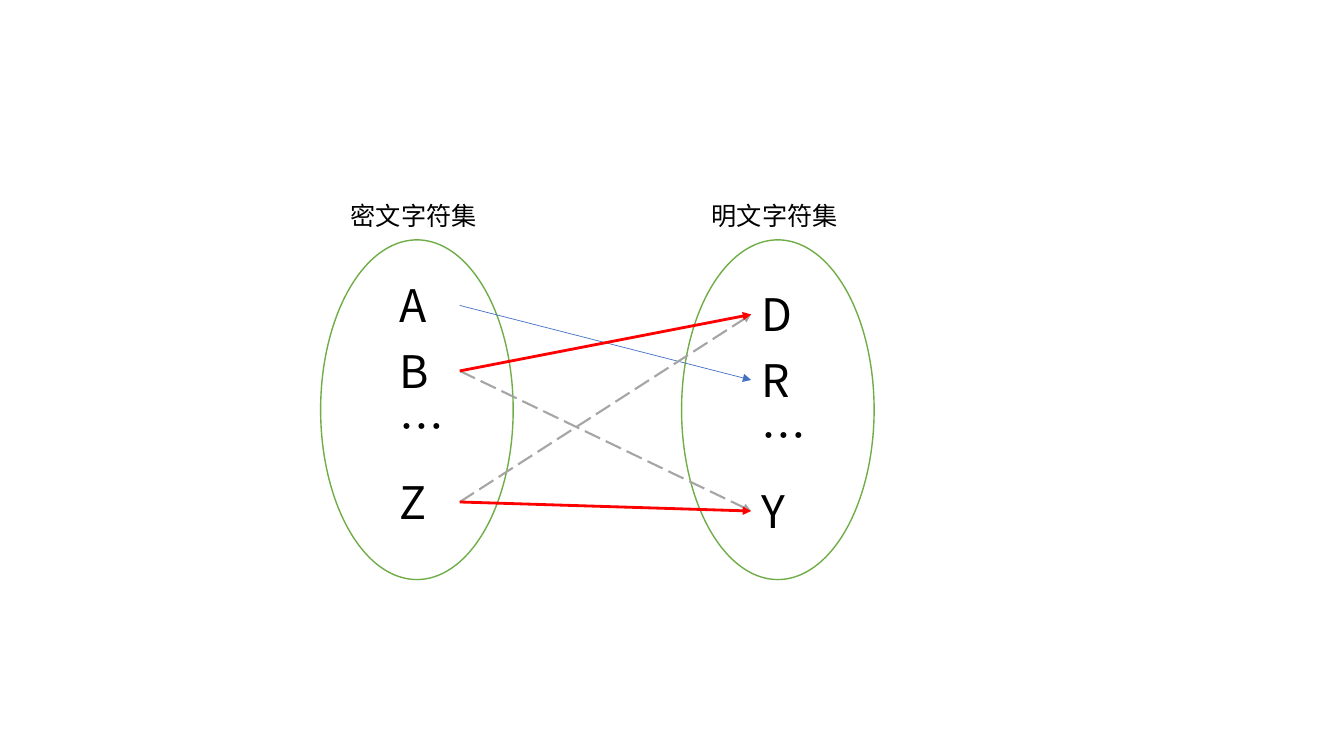
"""Build a slide mapping ciphertext characters to plaintext characters."""
from lxml import etree
from pptx import Presentation
from pptx.dml.color import RGBColor
from pptx.enum.dml import MSO_LINE
from pptx.enum.lang import MSO_LANGUAGE_ID
from pptx.enum.shapes import MSO_CONNECTOR, MSO_SHAPE
from pptx.enum.text import MSO_AUTO_SIZE
from pptx.oxml.ns import qn
from pptx.util import Inches, Pt

BLACK = RGBColor(0x00, 0x00, 0x00)
WHITE = RGBColor(0xFF, 0xFF, 0xFF)
GREEN = RGBColor(0x70, 0xAD, 0x47)
BLUE = RGBColor(0x44, 0x72, 0xC4)
GRAY = RGBColor(0xA5, 0xA5, 0xA5)
RED = RGBColor(0xFF, 0x00, 0x00)

FONT = "Noto Sans CJK SC"
OVAL = MSO_SHAPE.OVAL
STRAIGHT = MSO_CONNECTOR.STRAIGHT
LONG_DASH = MSO_LINE.LONG_DASH
GROW = MSO_AUTO_SIZE.SHAPE_TO_FIT_TEXT
CHINESE = MSO_LANGUAGE_ID.SIMPLIFIED_CHINESE

LETTER_W, LETTER_H = 0.7, 0.64
ROW_OFFSETS = (0, 0.65, 1.2, 1.95)
CIPHER = {"title": "密文字符集", "oval_x": 3.18, "x": 3.86, "y": 2.71,
          "letters": "AB…Z"}
PLAIN = {"title": "明文字符集", "oval_x": 6.76, "x": 7.45, "y": 2.8,
         "letters": "DR…Y"}
ARROWS = (
    ("A", "R", BLUE, 0.5, None),
    ("B", "Y", GRAY, 1.5, LONG_DASH),
    ("Z", "D", GRAY, 1.5, LONG_DASH),
    ("B", "D", RED, 2, None),
    ("Z", "Y", RED, 2, None),
)


def add_oval(slide, x, y, w, h):
    """Add a white oval with a green outline."""
    sp = slide.shapes.add_shape(OVAL, Inches(x), Inches(y), Inches(w), Inches(h))
    sp.shadow.inherit = False
    sp.fill.solid()
    sp.fill.fore_color.rgb = WHITE
    sp.line.color.rgb = GREEN
    sp.line.width = Pt(1)


def add_text(slide, text, x, y, w, h, size):
    """Add a one-line text box."""
    sp = slide.shapes.add_textbox(Inches(x), Inches(y), Inches(w), Inches(h))
    tf = sp.text_frame
    tf.word_wrap = True
    tf.auto_size = GROW
    r = tf.paragraphs[0].add_run()
    r.text = text
    style = {"name": FONT, "size": Pt(size), "language_id": CHINESE}
    for name, value in style.items():
        setattr(r.font, name, value)
    r.font.color.rgb = BLACK
    etree.SubElement(r.font._element, qn("a:ea"), typeface=FONT)


def add_arrow(slide, start, end, color, width, dash):
    """Add a straight arrow between two points."""
    points = [Inches(v) for v in (*start, *end)]
    line = slide.shapes.add_connector(STRAIGHT, *points)
    line.line.color.rgb = color
    line.line.width = Pt(width)
    if dash:
        line.line.dash_style = dash
    ln = line.line._get_or_add_ln()
    etree.SubElement(ln, qn("a:tailEnd"), type="triangle")
    etree.SubElement(line._element.spPr, qn("a:effectLst"))


def add_set(slide, charset):
    """Add a character set: oval, heading and letters."""
    add_oval(slide, charset["oval_x"], 2.38, 1.91, 3.37)
    add_text(slide, charset["title"], charset["oval_x"] + 0.2, 1.94, 1.51, 0.4, 18)
    for letter, offset in zip(charset["letters"], ROW_OFFSETS):
        add_text(slide, letter, charset["x"], charset["y"] + offset,
                 LETTER_W, LETTER_H, 32)


def anchors(charset, x):
    """Map each letter to the point where its arrows attach."""
    return {letter: (x, charset["y"] + offset + LETTER_H / 2)
            for letter, offset in zip(charset["letters"], ROW_OFFSETS)}


def main():
    """Build and save the slide."""
    prs = Presentation()
    prs.slide_width, prs.slide_height = Inches(13.33), Inches(7.5)
    slide = prs.slides.add_slide(prs.slide_layouts[6])
    for charset in (CIPHER, PLAIN):
        add_set(slide, charset)
    starts = anchors(CIPHER, CIPHER["x"] + LETTER_W)
    ends = anchors(PLAIN, PLAIN["x"])
    for source, target, color, width, dash in ARROWS:
        add_arrow(slide, starts[source], ends[target], color, width, dash)
    prs.save("out.pptx")


main()
